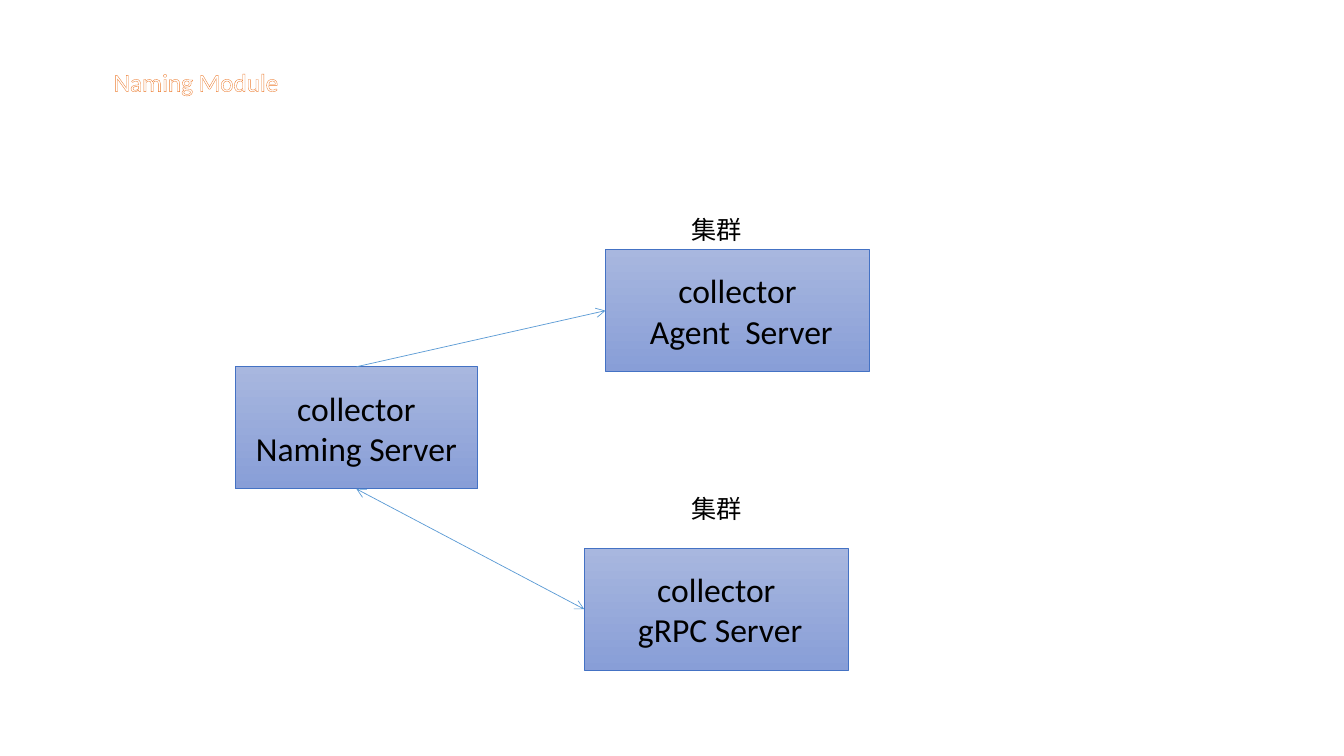
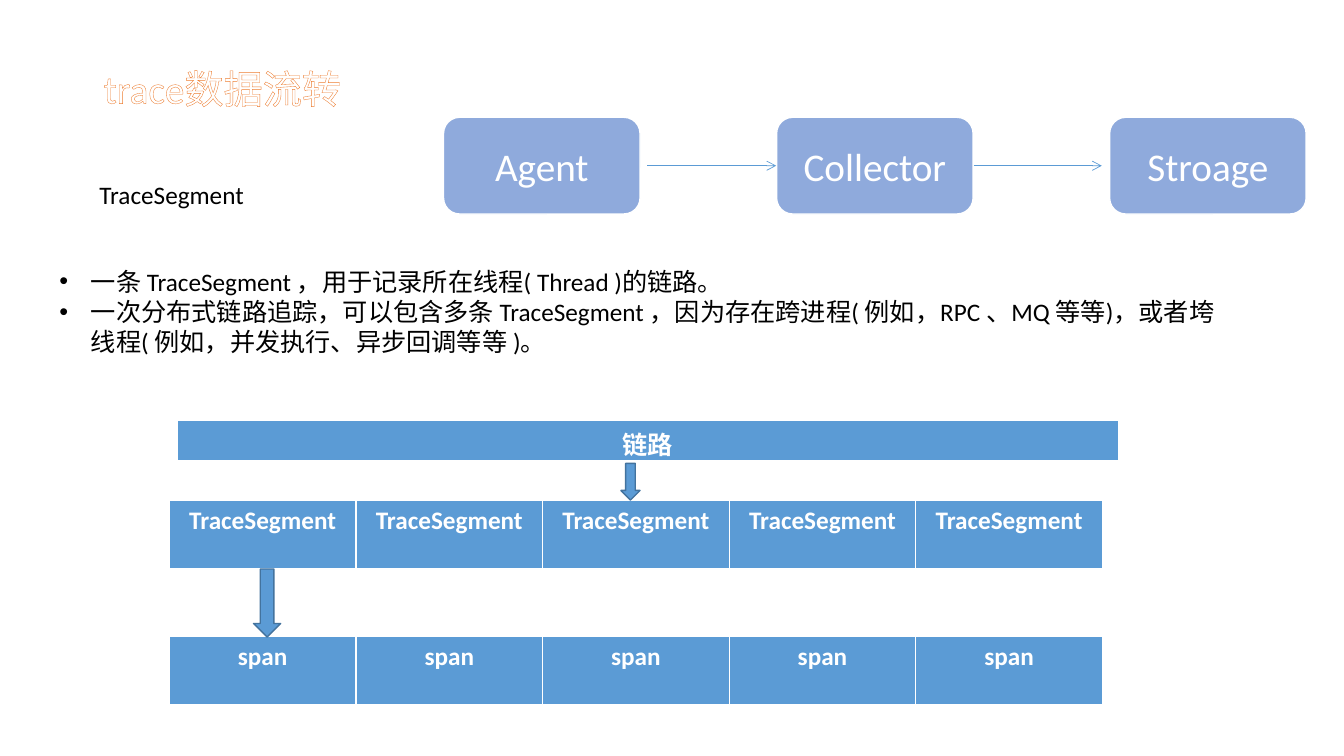
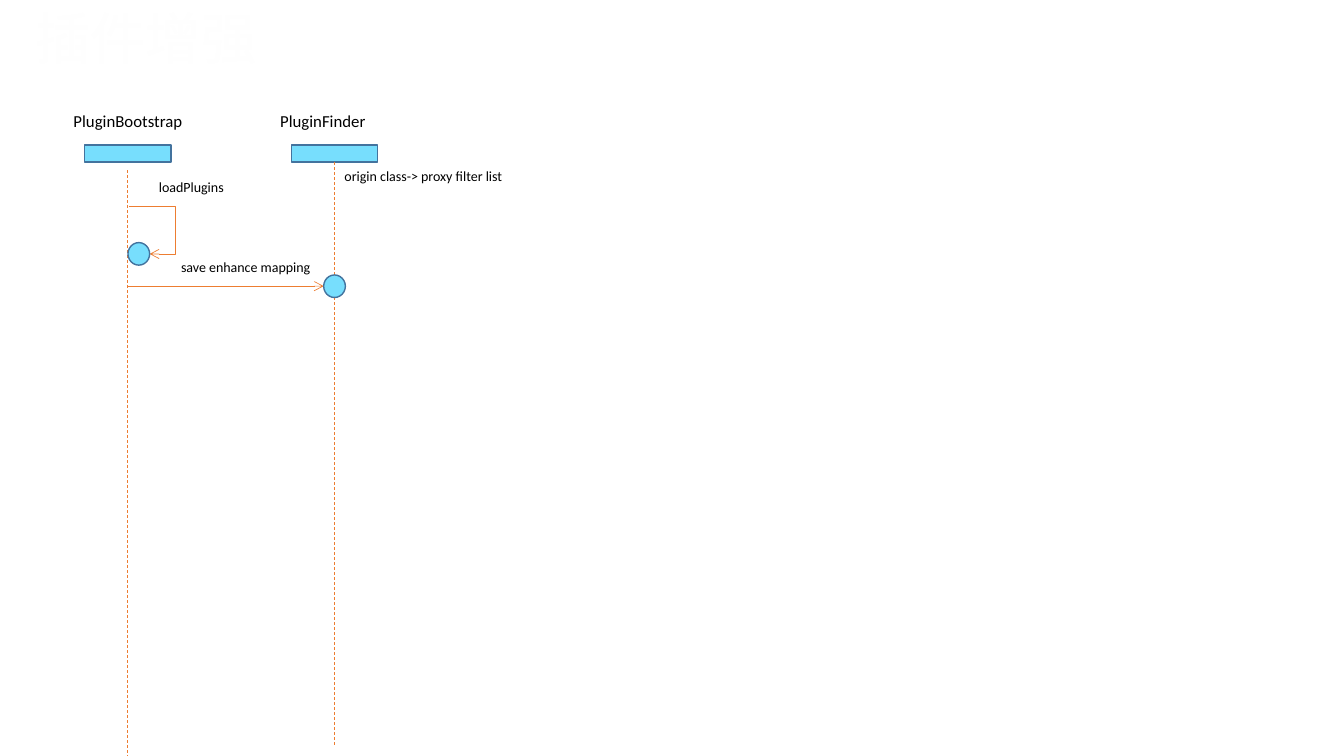
"""Build three slides on a tracing system: naming module, trace data flow and plugin enhancement."""
from lxml import etree
from pptx import Presentation
from pptx.dml.color import RGBColor
from pptx.enum.dml import MSO_LINE
from pptx.enum.shapes import MSO_CONNECTOR, MSO_SHAPE
from pptx.enum.text import MSO_ANCHOR, MSO_AUTO_SIZE, PP_ALIGN
from pptx.oxml.ns import qn
from pptx.util import Pt

STRAIGHT, ELBOW = MSO_CONNECTOR.STRAIGHT, MSO_CONNECTOR.ELBOW
RECT, ROUNDED = MSO_SHAPE.RECTANGLE, MSO_SHAPE.ROUNDED_RECTANGLE
DOWN_ARROW, NODE = MSO_SHAPE.DOWN_ARROW, MSO_SHAPE.FLOWCHART_CONNECTOR
CENTER, LEFT = PP_ALIGN.CENTER, PP_ALIGN.LEFT
MIDDLE, TOP = MSO_ANCHOR.MIDDLE, MSO_ANCHOR.TOP
FIT = MSO_AUTO_SIZE.SHAPE_TO_FIT_TEXT
DASH = MSO_LINE.DASH
SITE_TOP, SITE_LEFT, SITE_BOTTOM = 0, 1, 2

BLACK = RGBColor(0x00, 0x00, 0x00)
WHITE = RGBColor(0xFF, 0xFF, 0xFF)
NEAR_WHITE = RGBColor(0xFE, 0xFE, 0xFE)
BLUE = RGBColor(0x5B, 0x9B, 0xD5)
DARK_BLUE = RGBColor(0x43, 0x73, 0x9E)
ROYAL = RGBColor(0x44, 0x72, 0xC4)
PERIWINKLE = RGBColor(0x8F, 0xAA, 0xDC)
SERVER_TOP = RGBColor(0xA8, 0xB7, 0xDF)
SERVER_BOTTOM = RGBColor(0x88, 0x9E, 0xD7)
PALE_BLUE = RGBColor(0xBD, 0xD7, 0xEE)
CYAN = RGBColor(0x77, 0xDE, 0xFD)
ORANGE = RGBColor(0xED, 0x7D, 0x31)

FONT = "Calibri"
SERVER_TEXT = {"name": FONT, "size": Pt(24)}
STAGE_TEXT = {"name": FONT, "size": Pt(28)}
BODY_TEXT = {"name": FONT, "size": Pt(18)}
CELL_TEXT = {"name": FONT, "size": Pt(18), "bold": True}
ACTOR_TEXT = {"name": FONT, "size": Pt(12)}
MESSAGE_TEXT = {"name": FONT, "size": Pt(10)}
BANNER_TEXT = {"name": FONT, "size": Pt(39.6)}


def points(*lengths):
    """Convert numbers to point lengths."""
    return [Pt(length) for length in lengths]


def add_color(parent, color):
    """Append a solid fill to an XML element."""
    fill = etree.SubElement(parent, qn("a:solidFill"))
    etree.SubElement(fill, qn("a:srgbClr"), val=str(color))


def write(frame, lines, style, color=BLACK, align=LEFT):
    """Write one paragraph per line and return the runs."""
    runs = []
    for number, line in enumerate(lines):
        paragraph = frame.add_paragraph() if number else frame.paragraphs[0]
        paragraph.alignment = align
        run = paragraph.add_run()
        run.text = line
        for attribute, value in style.items():
            setattr(run.font, attribute, value)
        run.font.color.rgb = color
        runs.append(run)
    return runs


def add_text(slide, box, lines, style, color=BLACK, wrap=False, anchor=TOP):
    """Add a text box and return its frame and runs."""
    frame = slide.shapes.add_textbox(*points(*box)).text_frame
    settings = {"word_wrap": wrap, "auto_size": FIT, "vertical_anchor": anchor}
    for attribute, value in settings.items():
        setattr(frame, attribute, value)
    return frame, write(frame, lines, style, color)


def outline_text(run, color, width):
    """Draw the letters of a run with an outline."""
    outline = etree.Element(qn("a:ln"), w=str(Pt(width)))
    add_color(outline, color)
    run.font._element.insert(0, outline)


def shade_text(run, color):
    """Give the letters of a run a hard shadow to the lower right."""
    effects = etree.Element(qn("a:effectLst"))
    shadow = etree.SubElement(effects, qn("a:outerShdw"), dist=str(Pt(3)), dir="2700000", algn="tl")
    etree.SubElement(shadow, qn("a:srgbClr"), val=str(color))
    run.font._element.find(qn("a:solidFill")).addnext(effects)


def add_title(slide, box, text, style, wrap=False):
    """Add a white title with an orange outline."""
    _, runs = add_text(slide, box, [text], style, WHITE, wrap)
    outline_text(runs[0], ORANGE, 0.52)


def add_bullets(slide, box, lines):
    """Add a bulleted list."""
    frame, _ = add_text(slide, box, lines, BODY_TEXT, wrap=True)
    for paragraph in frame.paragraphs:
        properties = paragraph._p.get_or_add_pPr()
        properties.set("marL", str(Pt(22.5)))
        properties.set("indent", str(Pt(-22.5)))
        etree.SubElement(properties, qn("a:buFont"), typeface="Arial")
        etree.SubElement(properties, qn("a:buChar"), char="•")


def add_figure(slide, preset, box, fill, line, width=1):
    """Add a preset shape with a plain fill and no shadow."""
    figure = slide.shapes.add_shape(preset, *points(*box))
    figure.shadow.inherit = False
    figure.fill.solid()
    figure.fill.fore_color.rgb = fill
    figure.line.color.rgb = line
    figure.line.width = Pt(width)
    return figure


def add_server(slide, box, lines):
    """Add a server box with a vertical gradient."""
    server = add_figure(slide, RECT, box, SERVER_TOP, ROYAL, 0.5)
    server.fill.gradient()
    server.fill.gradient_angle = 270
    for stop, color in zip(server.fill.gradient_stops, (SERVER_TOP, SERVER_BOTTOM)):
        stop.color.rgb = color
    server.text_frame.vertical_anchor = MIDDLE
    write(server.text_frame, lines, SERVER_TEXT, align=CENTER)
    return server


def add_line(slide, ends, color, arrows=("tailEnd",), dash=None, kind=STRAIGHT):
    """Add a thin connector with open arrowheads."""
    connector = slide.shapes.add_connector(kind, *points(*ends))
    connector.line.color.rgb = color
    connector.line.width = Pt(0.5)
    if dash:
        connector.line.dash_style = dash
    properties = connector._element.spPr
    for arrow in arrows:
        etree.SubElement(properties.find(qn("a:ln")), qn(f"a:{arrow}"), type="arrow")
    etree.SubElement(properties, qn("a:effectLst"))
    return connector


def link(slide, source, source_site, target, arrows):
    """Connect two shapes at their connection sites."""
    connector = add_line(slide, (0, 0, 0, 0), BLUE, arrows)
    connector.begin_connect(source, source_site)
    connector.end_connect(target, SITE_LEFT)


def add_loop(slide, ends, reach):
    """Add an elbow arrow that turns back at the given reach."""
    connector = add_line(slide, ends, ORANGE, kind=ELBOW)
    geometry = connector._element.spPr.find(qn("a:prstGeom"))
    for old in geometry.findall(qn("a:avLst")):
        geometry.remove(old)
    adjustments = etree.SubElement(geometry, qn("a:avLst"))
    ratio = (reach - ends[0]) / (ends[2] - ends[0])
    etree.SubElement(adjustments, qn("a:gd"), name="adj1", fmla=f"val {round(ratio * 100000)}")


def add_strip(slide, box, labels):
    """Add a one-row table of blue cells with white borders."""
    table = slide.shapes.add_table(1, len(labels), *points(*box)).table
    for cell, label in zip(table.iter_cells(), labels):
        properties = cell._tc.get_or_add_tcPr()
        for side, width in {"lnL": 1, "lnR": 1, "lnT": 1, "lnB": 3}.items():
            add_color(etree.SubElement(properties, qn(f"a:{side}"), w=str(Pt(width))), WHITE)
        cell.fill.solid()
        cell.fill.fore_color.rgb = BLUE
        write(cell.text_frame, [label], CELL_TEXT, WHITE, CENTER)


def build_naming(slide):
    """Show how the naming server reaches the clusters."""
    naming = add_server(slide, (167.8, 262, 173.5, 87.2), ["collector Naming Server"])
    agent = add_server(slide, (432.5, 178.3, 188.6, 87.2), ["collector", " Agent  Server"])
    grpc = add_server(slide, (417.4, 391.6, 188.6, 87.2), ["collector", " gRPC Server"])
    for top in (149.8, 348.5):
        add_text(slide, (486.7, top, 50.4, 28.8), ["集群"], BODY_TEXT)
    link(slide, naming, SITE_TOP, agent, ["tailEnd"])
    link(slide, naming, SITE_BOTTOM, grpc, ["headEnd", "tailEnd"])
    add_title(slide, (74.2, 43.9, 131.8, 28.8), "Naming Module", BODY_TEXT)


def build_trace(slide):
    """Show the trace data flow and the parts of a trace."""
    for number, stage in enumerate(["Agent", "Collector", "Stroage"]):
        box = (316.8 + 237.9 * number, 83.8, 140.4, 69.1)
        figure = add_figure(slide, ROUNDED, box, PERIWINKLE, WHITE)
        figure.text_frame.vertical_anchor = MIDDLE
        write(figure.text_frame, [stage], STAGE_TEXT, WHITE, CENTER)
    for start, end in ((462.4, 554.4), (695.5, 787)):
        add_line(slide, (start, 118.4, end, 118.4), BLUE)
    add_title(slide, (67, 42.5, 300.2, 41), "trace数据流转", STAGE_TEXT, wrap=True)
    add_text(slide, (64, 124.6, 117.4, 28.8), ["TraceSegment"], BODY_TEXT)
    add_bullets(slide, (35.3, 186.5, 855.4, 72), [
        "一条 TraceSegment ，用于记录所在线程( Thread )的链路。",
        "一次分布式链路追踪，可以包含多条 TraceSegment ，因为存在跨进程( 例如，RPC 、MQ 等等)，"
        "或者垮线程( 例如，并发执行、异步回调等等 )。",
    ])
    add_strip(slide, (126.9, 300.4, 671.8, 29.2), ["链路"])
    for top, label in ((357.4, "TraceSegment"), (454.5, "span")):
        add_strip(slide, (121, top, 666.5, 49.6), [label] * 5)
    for box in ((443.5, 331, 13.7, 26.2), (181.1, 406.4, 19.4, 48.6)):
        add_figure(slide, DOWN_ARROW, box, BLUE, DARK_BLUE)


def build_plugins(slide):
    """Show the sequence of plugin loading and mapping."""
    banner, runs = add_text(
        slide, (18, 7.2, 828, 44.6), ["插件增强"], BANNER_TEXT, NEAR_WHITE, True, MIDDLE)
    banner.auto_size = MSO_AUTO_SIZE.NONE
    banner.paragraphs[0].line_spacing = 0.9
    outline_text(runs[0], BLUE, 0.75)
    shade_text(runs[0], PALE_BLUE)
    actors = [
        ("PluginBootstrap", 45.4, 92.2, 91.3, 121.7, 540),
        ("PluginFinder", 193, 75.6, 238.9, 115.9, 533.2),
    ]
    for actor, left, width, axis, start, end in actors:
        add_figure(slide, RECT, (axis - 30.8, 103.5, 61.6, 12.4), CYAN, DARK_BLUE)
        add_line(slide, (axis, start, axis, end), ORANGE, (), DASH)
        add_text(slide, (left, 75.6, width, 21.6), [actor], ACTOR_TEXT)
    add_loop(slide, (92, 147.4, 106.9, 181.4), 125.4)
    add_line(slide, (91, 204.4, 231.2, 204.4), ORANGE)
    for left, top in ((91.4, 173.3), (231.2, 196.4)):
        add_figure(slide, NODE, (left, top, 15.5, 16.1), CYAN, DARK_BLUE)
    messages = [
        ("loadPlugins", 106.4, 123.8, 67),
        ("save enhance mapping", 122.2, 181.4, 109.4),
        ("origin class-> proxy filter list", 239, 115.9, 141.1),
    ]
    for message, left, top, width in messages:
        add_text(slide, (left, top, width, 19.4), [message], MESSAGE_TEXT, wrap=True)


def main():
    """Create and save the presentation."""
    deck = Presentation()
    deck.slide_width, deck.slide_height = points(960, 540)
    blank = deck.slide_layouts[6]
    for build in (build_naming, build_trace, build_plugins):
        build(deck.slides.add_slide(blank))
    deck.save("out.pptx")


if __name__ == "__main__":
    main()
